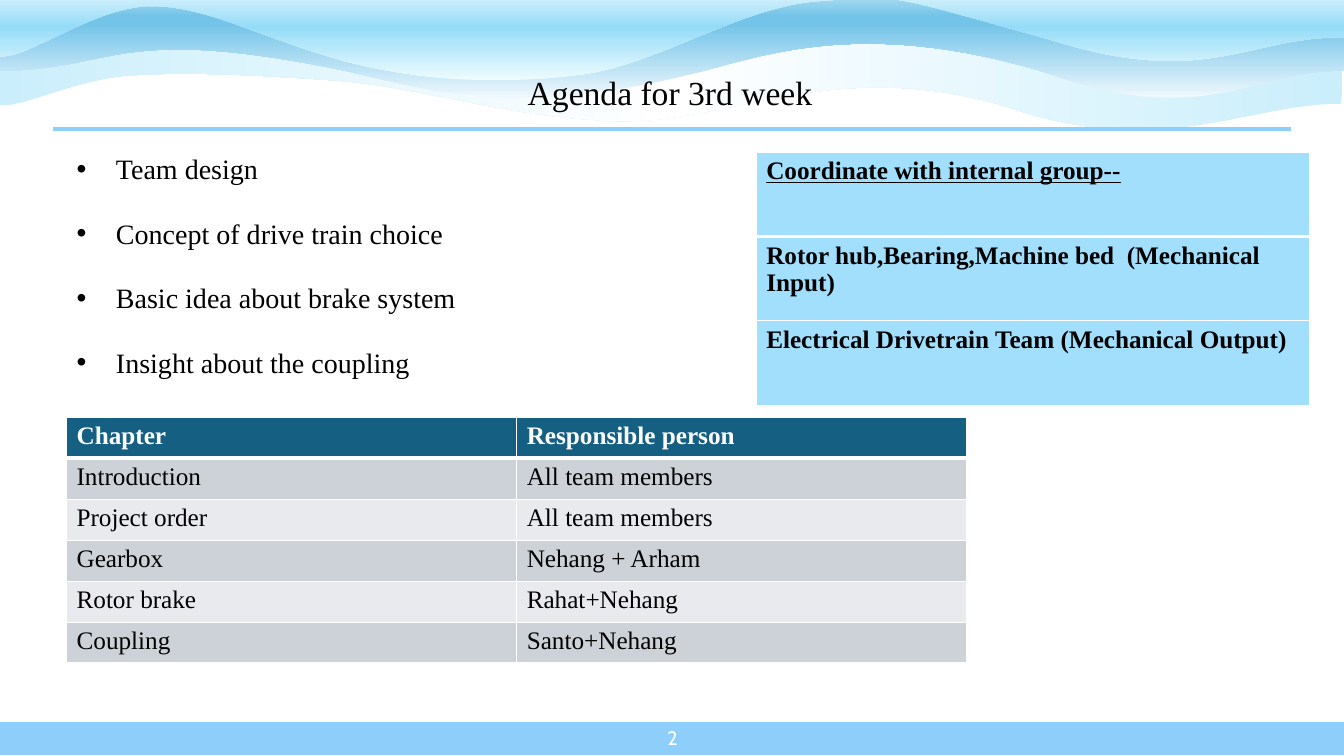
from lxml.etree import SubElement
from pptx import Presentation
from pptx.dml.color import RGBColor
from pptx.enum.shapes import MSO_CONNECTOR, MSO_SHAPE
from pptx.enum.text import MSO_ANCHOR, MSO_AUTO_SIZE, PP_ALIGN
from pptx.oxml.ns import qn
from pptx.util import Inches, Pt

SKY = "8ECEFA"
WHITE = "FFFFFF"
WAVES = [
    ((-0.04, 0.3, 13.36, 0.98), 0,
     [(0, "CAEEFB"), (50, WHITE), (100, "CAEEFB")],
     [(13.3, 1.03),
      (12.37, 1.02, 11.52, 1.59, 9.99, 1.06), (8.27, 0.54, 7.21, 1.24, 6.1, 1.2),
      (4.99, 1.16, 4.21, 0.87, 3.35, 0.8), (2.49, 0.74, 1.83, 0.71, 1.27, 0.75),
      (0.71, 0.79, 0.14, 1.11, -0.02, 1.03), (-0.02, 0.8, -0.04, 0.53, -0.04, 0.3),
      (3.13, 0.31), (6.52, 0.34), (9.41, 0.32), (13.32, 0.34),
      (13.32, 0.55, 13.32, 0.8, 13.3, 1.03)]),
    ((0, -0.01, 13.33, 0.98), 270,
     [(0, "F0F8FD"), (74, "74C4E9"), (83, "74C4E9"), (100, "A2D8F0")],
     [(13.32, 0.7),
      (12.39, 0.7, 11.96, 1.28, 10.44, 0.74), (8.71, 0.2, 7.73, 0.5, 7.06, 0.68),
      (5.28, 1.14, 4.59, 0.98, 3.46, 0.71), (1.13, 0.22, 1.15, 0.7, 0, 0.7),
      (0, 0.47, 0.01, 0.24, 0.01, 0),
      (3.13, 0.01), (6.54, -0.01), (9.46, 0), (13.33, 0.04),
      (13.33, 0.26, 13.34, 0.47, 13.32, 0.7)]),
    ((-0.03, -0.26, 13.36, 1.06), 270,
     [(0, "EFFCFF"), (50, "96DCF8"), (100, WHITE)],
     [(13.32, 0.37),
      (12.39, 0.36, 11.96, 0.88, 10.44, 0.4), (8.72, -0.08, 8.91, -0.05, 8.13, 0.01),
      (7.35, 0.06, 6.53, 0.64, 5.76, 0.74), (4.98, 0.84, 4.24, 0.81, 3.47, 0.62),
      (2.58, 0.38, 2.07, 0.06, 1.5, 0.06), (0.92, 0.06, 0.22, 0.63, -0.03, 0.55),
      (-0.02, 0.34, 0.01, -0.04, 0.01, -0.25),
      (3.13, -0.24), (6.54, -0.26), (9.46, -0.25), (13.33, -0.22),
      (13.33, -0.03, 13.34, 0.16, 13.32, 0.37)]),
]
TASKS = [
    ("Chapter", "Responsible person"),
    ("Introduction", "All team members"),
    ("Project order", "All team members"),
    ("Gearbox", "Nehang + Arham"),
    ("Rotor brake", "Rahat+Nehang"),
    ("Coupling", "Santo+Nehang"),
]
GROUPS = [
    ("Coordinate with internal group--",),
    ("Rotor hub,Bearing,Machine bed  (Mechanical Input)",),
    ("Electrical Drivetrain Team (Mechanical Output)",),
]
GOALS = ["Team design", "Concept of drive train choice",
         "Basic idea about brake system", "Insight about the coupling"]


def color(code):
    return RGBColor.from_string(code)


def inches(box):
    return [Inches(n) for n in box]


def write(para, text, size=18, font="Times New Roman", ink="000000",
          bold=False, under=False, align=PP_ALIGN.LEFT):
    para.alignment = align
    run = para.add_run()
    run.text = text
    run.font.size = Pt(size)
    run.font.name = font
    run.font.color.rgb = color(ink)
    run.font.bold = bold
    run.font.underline = under


def place(shape, box):
    shape.left, shape.top, shape.width, shape.height = inches(box)


def add_wave(slide, box, angle, stops, steps):
    left, top, width, height = box
    right, base = left + width, top + height
    pen = slide.shapes.build_freeform(Inches(left), Inches(top))
    pen.add_line_segments([inches(p) for p in
                           ((right, top), (right, base), (left, base))])
    wave = pen.convert_to_shape()
    wave.rotation = 180
    wave.shadow.inherit = False
    wave.line.fill.background()

    wave.fill.gradient()
    wave.fill.gradient_angle = angle
    ramp = next(wave._element.iter(qn("a:gsLst")))
    ramp.clear()
    for spot, code in stops:
        stop = SubElement(ramp, qn("a:gs"), pos=str(spot * 1000))
        SubElement(stop, qn("a:srgbClr"), val=code)

    track = next(wave._element.iter(qn("a:path")))
    for child in list(track):
        track.remove(child)
    for i, step in enumerate(steps):
        kind = "cubicBezTo" if len(step) == 6 else "lnTo" if i else "moveTo"
        node = SubElement(track, qn("a:" + kind))
        for x, y in zip(step[::2], step[1::2]):
            SubElement(node, qn("a:pt"), x=str(Inches(right - x)),
                       y=str(Inches(base - y)))
    SubElement(track, qn("a:close"))


def add_foot(slide, box):
    bar = slide.shapes.add_shape(MSO_SHAPE.RECTANGLE, *inches(box))
    bar.shadow.inherit = False
    bar.fill.solid()
    bar.fill.fore_color.rgb = color(SKY)
    bar.line.color.rgb = color(WHITE)
    bar.line.width = Pt(1.5)
    left, top = box[:2]
    label = slide.shapes.add_textbox(*inches((left + 6.52, top - 0.03, 0.31, 0.4)))
    frame = label.text_frame
    frame.word_wrap = True
    frame.vertical_anchor = MSO_ANCHOR.MIDDLE
    write(frame.paragraphs[0], "2", size=14, font="Cabin", ink=WHITE,
          align=PP_ALIGN.RIGHT)


def add_head(slide, box):
    title = slide.shapes.title
    slide.shapes._spTree.append(title._element)
    place(title, box)
    title.text_frame.vertical_anchor = MSO_ANCHOR.MIDDLE
    para = title.text_frame.paragraphs[0]
    para.line_spacing = 0.9
    write(para, "Agenda for 3rd week", size=24, align=PP_ALIGN.CENTER)

    left, top = box[:2]
    rule = slide.shapes.add_connector(
        MSO_CONNECTOR.STRAIGHT,
        *inches((left, top + 0.73, left + 12.27, top + 0.73)))
    rule.line.color.rgb = color(SKY)
    rule.line.width = Pt(3)
    SubElement(rule._element.spPr, qn("a:effectLst"))


def add_goals(slide, box):
    body = slide.placeholders[1]
    slide.shapes._spTree.append(body._element)
    place(body, box)
    frame = body.text_frame
    frame.auto_size = MSO_AUTO_SIZE.NONE
    frame.vertical_anchor = MSO_ANCHOR.TOP
    for i, goal in enumerate(GOALS):
        para = frame.add_paragraph() if i else frame.paragraphs[0]
        props = para._p.get_or_add_pPr()
        props.set("marL", str(Inches(0.39)))
        props.set("indent", str(Inches(-0.39)))
        SubElement(props, qn("a:buFont"), typeface="Arial")
        SubElement(props, qn("a:buChar"), char="•")
        para.line_spacing = 1.5
        para.space_before = Pt(10 if i else 0)
        write(para, goal, size=20)


def add_grid(slide, box, rows, fills, **head):
    grid = slide.shapes.add_table(len(rows), len(rows[0]), *inches(box)).table
    grid.horz_banding = False
    for i, row in enumerate(rows):
        for j, text in enumerate(row):
            cell = grid.cell(i, j)
            props = cell._tc.get_or_add_tcPr()
            for side in "LRTB":
                thick = (side, i) in (("B", 0), ("T", 1))
                edge = SubElement(props, qn("a:ln" + side),
                                  w=str(Pt(3 if thick else 1)))
                paint = SubElement(edge, qn("a:solidFill"))
                SubElement(paint, qn("a:srgbClr"), val=WHITE)
            cell.fill.solid()
            cell.fill.fore_color.rgb = color(fills[i])
            write(cell.text_frame.paragraphs[0], text,
                  **(head if i == 0 else {"bold": len(row) == 1}))


def main():
    deck = Presentation()
    deck.slide_width, deck.slide_height = Inches(13.33), Inches(7.5)
    slide = deck.slides.add_slide(deck.slide_layouts[1])
    for wave in WAVES:
        add_wave(slide, *wave)
    add_foot(slide, (-0.01, 7.15, 13.35, 0.35))
    add_head(slide, (0.53, 0.55, 12.23, 0.78))
    add_goals(slide, (0.66, 1.29, 5.37, 2.88))
    add_grid(slide, (0.66, 4.14, 8.93, 2.44), TASKS,
             ["156082"] + ["CCD2D8", "E8EAED"] * 2 + ["CCD2D8"],
             ink=WHITE, bold=True)
    add_grid(slide, (7.5, 1.51, 5.49, 2.51), GROUPS, ["A1DFFD"] * 3,
             bold=True, under=True)
    deck.save("out.pptx")


if __name__ == "__main__":
    main()
